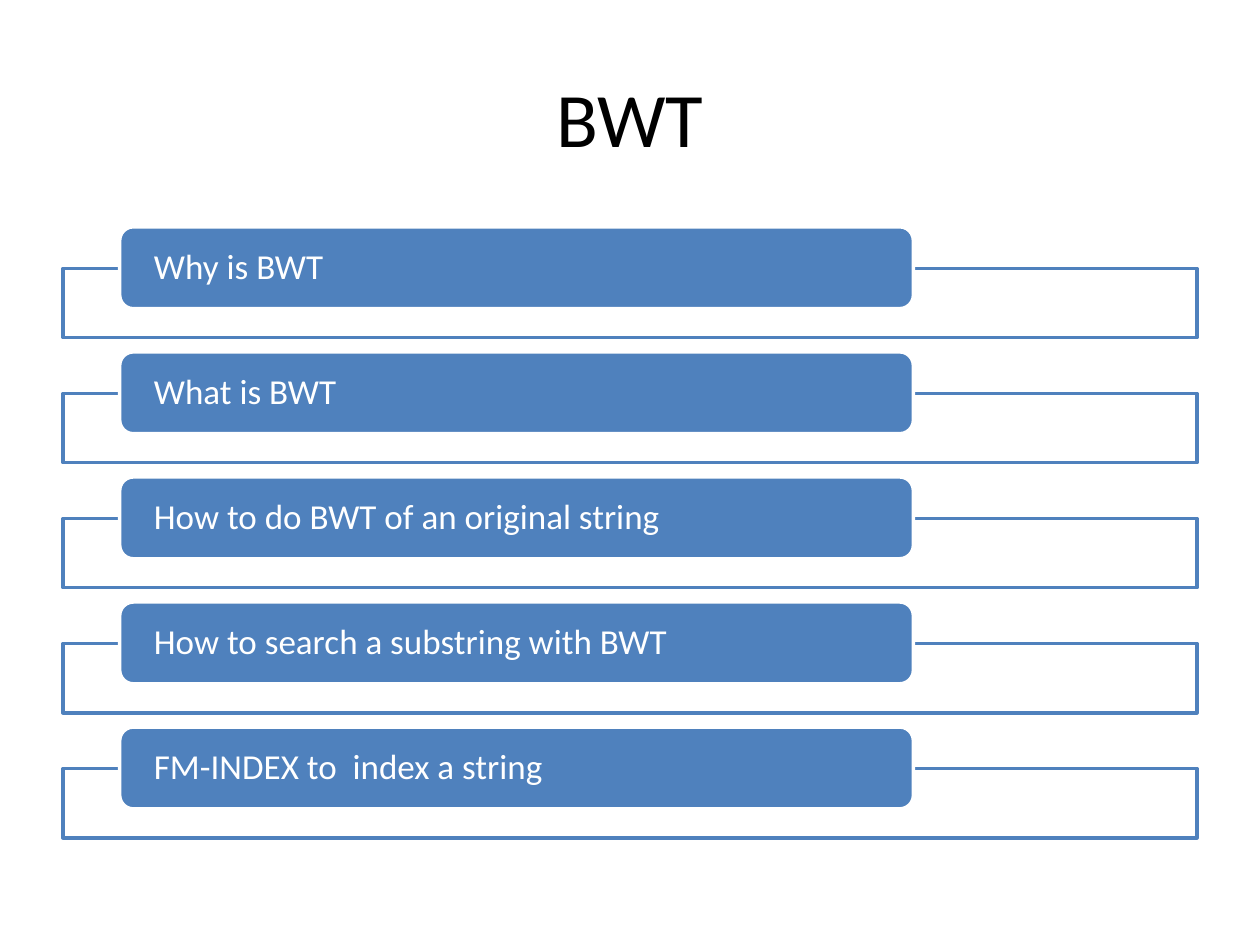
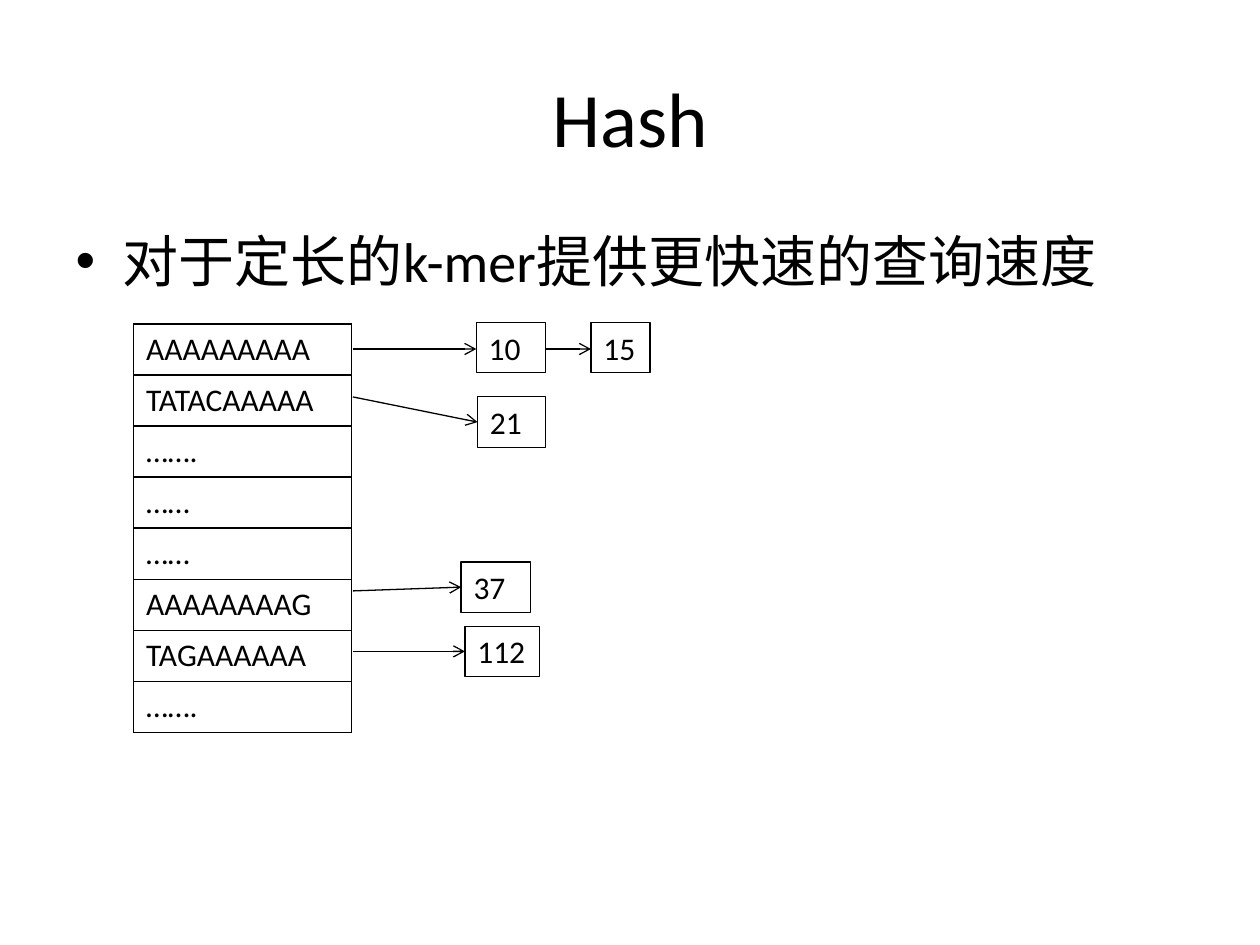
from pptx import Presentation
from pptx.dml.color import RGBColor
from pptx.enum.shapes import MSO_CONNECTOR as Conn, MSO_SHAPE as Shape
from pptx.enum.text import MSO_ANCHOR as Anchor, PP_ALIGN as Align
from pptx.oxml.ns import qn
from pptx.util import Inches, Pt
from lxml.etree import SubElement

# Shared look
BLACK = RGBColor(0x00, 0x00, 0x00)
WHITE = RGBColor(0xFF, 0xFF, 0xFF)
BLUE = RGBColor(0x4F, 0x81, 0xBD)
FONT = "Calibri"

# Content
TOPICS = [
    "Why is BWT",
    "What is BWT",
    "How to do BWT of an original string",
    "How to search a substring with BWT",
    "FM-INDEX to  index a string",
]
POINT = "对于定长的k-mer提供更快速的查询速度"
KEYS = ["AAAAAAAAA", "TATACAAAAA", "…….", "……", "……",
        "AAAAAAAAG", "TAGAAAAAA", "……."]
# Hash positions: text, left, top, width
HITS = [
    ("10", 3.78, 2.56, 0.55),
    ("15", 4.69, 2.56, 0.47),
    ("21", 3.79, 3.15, 0.54),
    ("37", 3.66, 4.46, 0.55),
    ("112", 3.69, 4.97, 0.59),
]
# Arrows: start x, start y, end x, end y
LINKS = [
    (2.8, 2.77, 3.78, 2.77),
    (4.33, 2.77, 4.69, 2.77),
    (2.8, 3.15, 3.79, 3.35),
    (2.8, 4.69, 3.66, 4.66),
    (2.8, 5.17, 3.69, 5.17),
]


def write(frame, text, size=18, color=BLACK, align=Align.LEFT,
          anchor=Anchor.TOP, inset=None, spacing=None):
    frame.word_wrap = True
    frame.vertical_anchor = anchor
    if inset is not None:
        frame.margin_left = frame.margin_right = Inches(inset)
        frame.margin_top = frame.margin_bottom = 0
    para = frame.paragraphs[0]
    para.alignment = align
    if spacing:
        para.line_spacing = spacing
    run = para.add_run()
    run.text = text
    run.font.size = Pt(size)
    run.font.name = FONT
    run.font.color.rgb = color


def place(item, left, top, width, height):
    item.left, item.top = Inches(left), Inches(top)
    item.width, item.height = Inches(width), Inches(height)


def start(layout, title):
    slide = deck.slides.add_slide(deck.slide_layouts[layout])
    place(slide.shapes.title, 0.5, 0.3, 9, 1.25)
    write(slide.shapes.title.text_frame, title, size=44,
          align=Align.CENTER, anchor=Anchor.MIDDLE)
    return slide


def draw(slide, kind, box, fill, line, weight):
    shape = slide.shapes.add_shape(kind, *map(Inches, box))
    shape.shadow.inherit = False
    if fill is None:
        shape.fill.background()
    else:
        shape.fill.solid()
        shape.fill.fore_color.rgb = fill
    shape.line.color.rgb = line
    shape.line.width = Pt(weight)
    return shape


def arrow(slide, ends):
    link = slide.shapes.add_connector(Conn.STRAIGHT, *map(Inches, ends))
    link.line.color.rgb = BLACK
    link.line.width = Pt(0.75)
    SubElement(link.line._get_or_add_ln(), qn("a:tailEnd"), type="arrow")
    SubElement(link._element.spPr, qn("a:effectLst"))


def border(cell):
    props = cell._tc.get_or_add_tcPr()
    for side in ("lnL", "lnR", "lnT", "lnB"):
        edge = SubElement(props, qn("a:" + side), w=str(Pt(1)))
        fill = SubElement(edge, qn("a:solidFill"))
        SubElement(fill, qn("a:srgbClr"), val=str(BLACK))


deck = Presentation()
deck.slide_width, deck.slide_height = Inches(10), Inches(7.5)

# Slide 1: list of topics, each a bar on a frame
slide = start(5, "BWT")
for row, topic in enumerate(TOPICS):
    top = 1.8 + row * 0.9925
    back = draw(slide, Shape.RECTANGLE, (0.5, top + 0.33, 9, 0.55),
                WHITE, BLUE, 2)
    tint = back._element.spPr.find(".//" + qn("a:srgbClr"))
    SubElement(tint, qn("a:alpha"), val="90000")
    bar = draw(slide, Shape.ROUNDED_RECTANGLE, (0.95, top, 6.3, 0.65),
               BLUE, WHITE, 2)
    write(bar.text_frame, topic, size=20, color=WHITE,
          anchor=Anchor.MIDDLE, inset=0.24, spacing=0.9)

# Slide 2: bullet, key table and hit boxes
slide = start(1, "Hash")
body = slide.placeholders[1]
place(body, 0.5, 1.75, 9, 4.95)
write(body.text_frame, POINT, size=32)

frame = slide.shapes.add_table(len(KEYS), 1, Inches(1.06), Inches(2.57),
                               Inches(1.73), Inches(0.4 * len(KEYS)))
table = frame.table
table.first_row = table.horz_banding = False
for row, key in enumerate(KEYS):
    cell = table.cell(row, 0)
    border(cell)
    cell.fill.background()
    write(cell.text_frame, key)

for text, left, top, width in HITS:
    box = draw(slide, Shape.RECTANGLE, (left, top, width, 0.4),
               None, BLACK, 0.75)
    write(box.text_frame, text)
for ends in LINKS:
    arrow(slide, ends)

deck.save("out.pptx")
